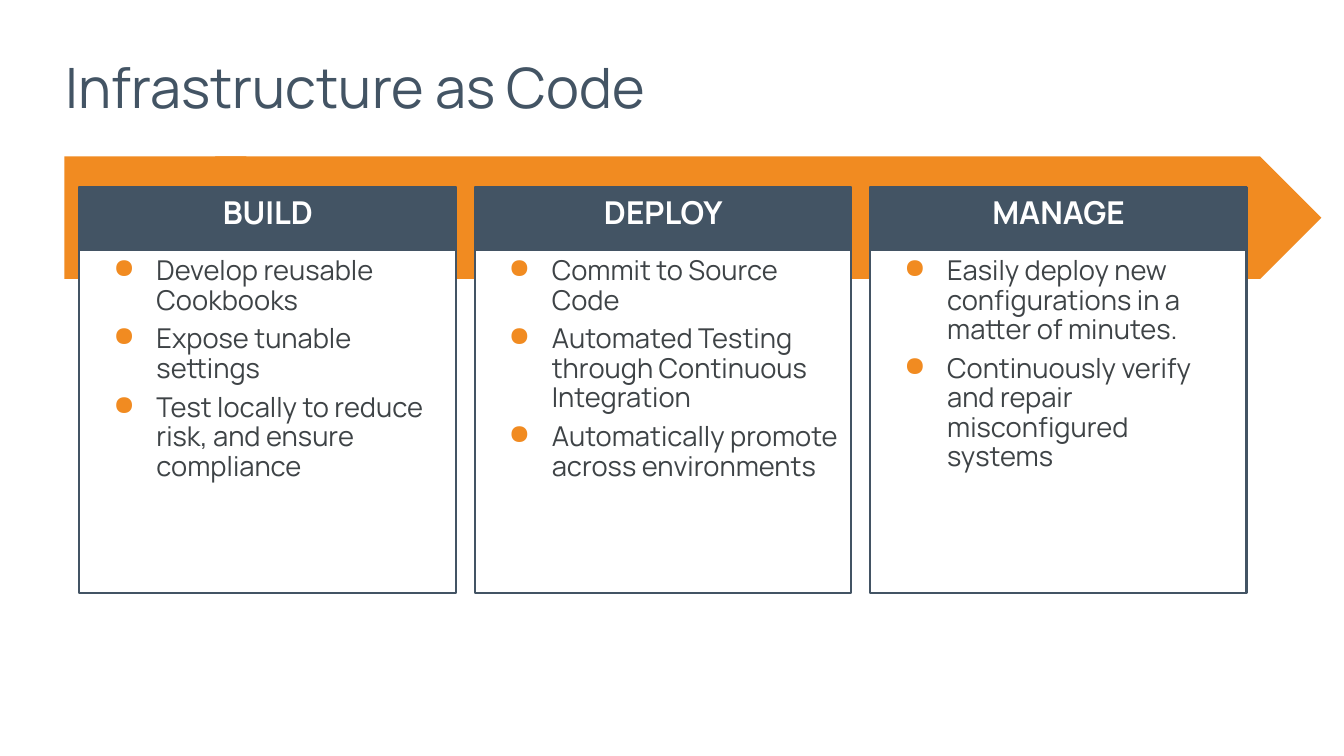
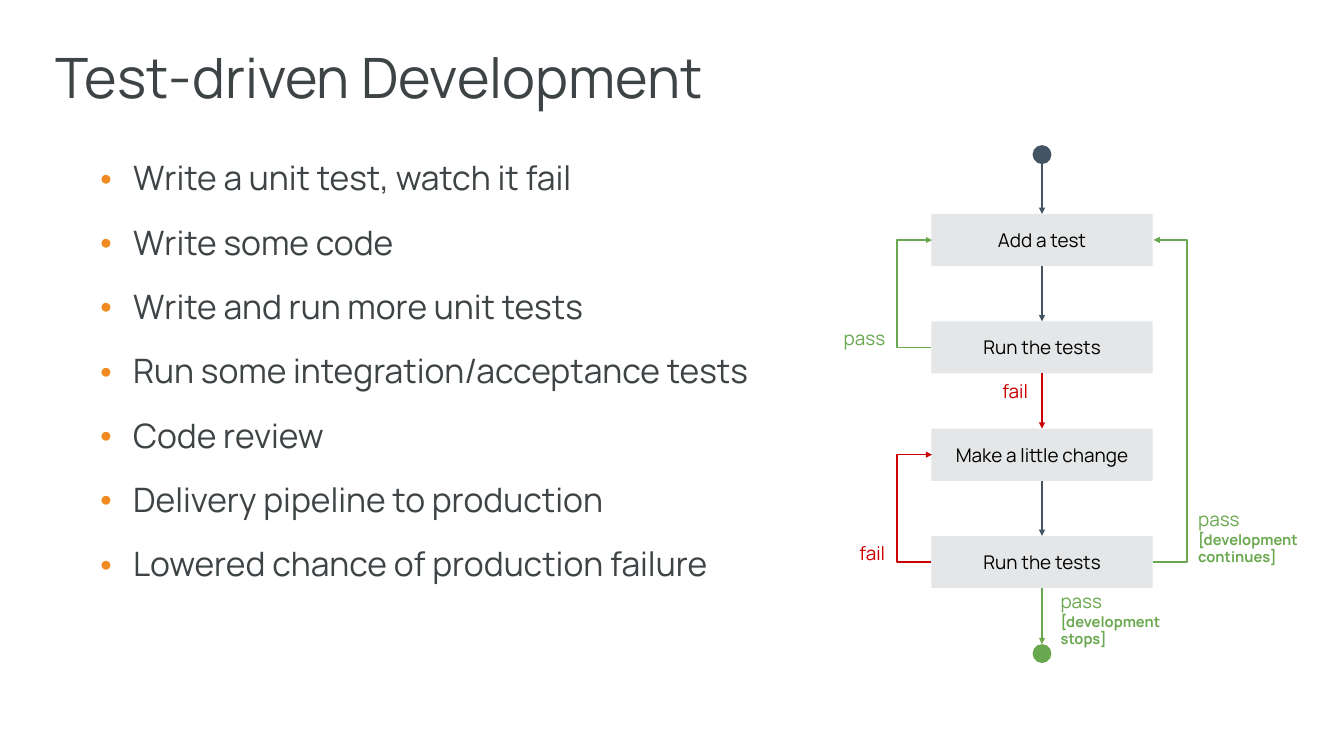
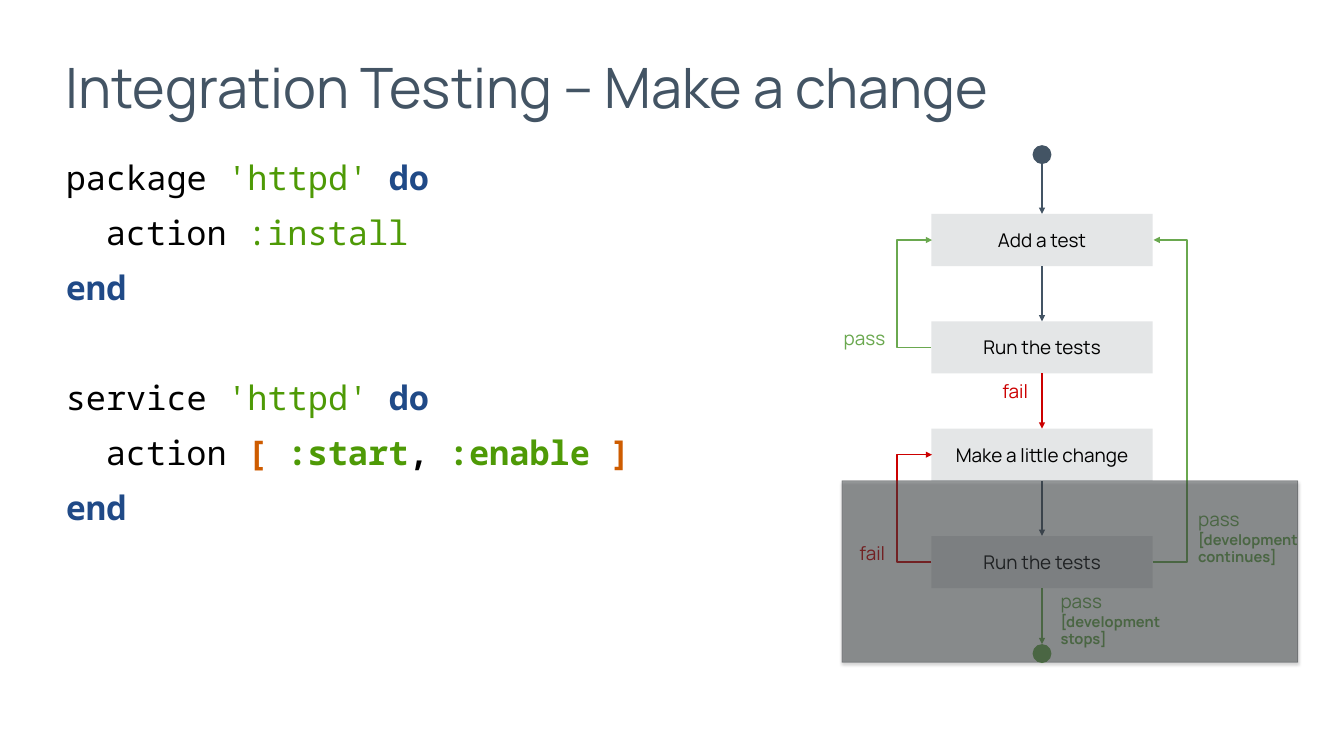
from lxml.etree import SubElement
from pptx import Presentation
from pptx.dml.color import RGBColor
from pptx.enum.shapes import MSO_CONNECTOR as Link, MSO_SHAPE as Shape
from pptx.enum.text import MSO_ANCHOR as Anchor, MSO_AUTO_SIZE as AutoSize, PP_ALIGN as Align
from pptx.oxml.ns import qn
from pptx.util import Inches, Pt

WIDTH, HEIGHT = 17.78, 10
SANS, MONO = "Manrope", "Noto Sans Mono"
SLATE, INK, ORANGE, WHITE, BLACK = "435464", "3E4346", "F18B21", "FFFFFF", "000000"
PALE, GREEN, RED = "E4E6E7", "6AA84F", "CC0000"
STRING, KEYWORD, BRACKET = "4E9A06", "204A87", "CE5C00"
LEFT, CENTER, RIGHT = Align.LEFT, Align.CENTER, Align.RIGHT

TITLE_BOX = (0.74, 0.67, 16.3, 0.81)
BODY_BOX = (0.74, 2.01, 16.3, 6.31)
CARD_LEFT, CARD_TOP, CARD_STEP, CARD_WIDTH, CARD_HEIGHT = 1.05, 2.48, 5.23, 4.98, 5.36
HEADER_HEIGHT = 0.82
STEP_LEFT, STEP_TOP, STEP_PITCH, STEP_WIDTH, STEP_HEIGHT = 12.32, 2.83, 1.42, 2.93, 0.69
AXIS = STEP_LEFT + STEP_WIDTH / 2
DOT, LOOP_REACH, LOOP_SPAN = 0.25, 0.46, 0.01
START_TOP, END_TOP = 1.92, 8.52

CARDS = [
    ("BUILD", 4.98, ["Develop reusable Cookbooks", "Expose tunable settings",
                     "Test locally to reduce risk, and ensure compliance"]),
    ("DEPLOY", 4.98, ["Commit to Source Code",
                      "Automated Testing through Continuous Integration",
                      "Automatically promote across environments"]),
    ("MANAGE", 4.84, ["Easily deploy new configurations in a matter of minutes.",
                      "Continuously verify and repair misconfigured systems"]),
]
PRACTICES = ["Write a unit test, watch it fail", "Write some code",
             "Write and run more unit tests", "Run some integration/acceptance tests",
             "Code review", "Delivery pipeline to production",
             "Lowered chance of production failure"]
STEPS = ["Add a test", "Run the tests", "Make a little change", "Run the tests"]

# Each code line: indent in inches, space before in points, (text, colour, bold) runs
CODE_INDENT, CODE_GAP, BLOCK_GAP = 0.53, 8.9, 61.3
END_LINE = (0, CODE_GAP, [("end", KEYWORD, True)])
CODE = [
    (0, CODE_GAP, [("package ", BLACK, False), ("'httpd' ", STRING, False), ("do", KEYWORD, True)]),
    (CODE_INDENT, CODE_GAP, [("action ", BLACK, False), (":install", STRING, False)]),
    END_LINE,
    (0, BLOCK_GAP, [("service ", BLACK, False), ("'httpd' ", STRING, False), ("do", KEYWORD, True)]),
    (CODE_INDENT, CODE_GAP, [("action ", BLACK, False), ("[ ", BRACKET, True),
                             (":start", STRING, True), (", ", BLACK, True),
                             (":enable ", STRING, True), ("]", BRACKET, True)]),
    END_LINE,
]


def rgb(color):
    return RGBColor.from_string(color)


def box_inches(box):
    return [Inches(length) for length in box]


def xml_child(parent, tag, **attributes):
    return SubElement(parent, qn(tag), **attributes)


def prepare_frame(frame, across, down, anchor=Anchor.TOP):
    frame.word_wrap, frame.auto_size = True, AutoSize.NONE
    frame.margin_left = frame.margin_right = Inches(across)
    frame.margin_top = frame.margin_bottom = Inches(down)
    frame.vertical_anchor = anchor


def add_paragraph(frame, first, align=LEFT, spacing=1.0, before=0, after=0):
    paragraph = frame.paragraphs[0] if first else frame.add_paragraph()
    paragraph.alignment, paragraph.line_spacing = align, spacing
    paragraph.space_before, paragraph.space_after = Pt(before), Pt(after)
    return paragraph


def add_run(paragraph, text, size, color, bold=False, font=SANS):
    run = paragraph.add_run()
    run.text = text
    run.font.name, run.font.size, run.font.bold = font, Pt(size), bold
    run.font.color.rgb = rgb(color)


def indent(paragraph, left, first_line=0):
    properties = paragraph._p.get_or_add_pPr()
    properties.set("marL", str(Inches(left)))
    properties.set("indent", str(Inches(first_line)))
    return properties


def fill_bullets(frame, items, size, hang, after=0, bullet_percent=100):
    for number, item in enumerate(items):
        paragraph = add_paragraph(frame, number == 0, LEFT, 0.9, 8.9, after)
        properties = indent(paragraph, 0.89, -hang)
        xml_child(xml_child(properties, "a:buClr"), "a:srgbClr", val=ORANGE)
        xml_child(properties, "a:buSzPct", val=str(bullet_percent * 1000))
        xml_child(properties, "a:buChar", char="●")
        add_run(paragraph, item, size, INK)


def add_block(shapes, kind, box, fill, line=None, line_width=2):
    block = shapes.add_shape(kind, *box_inches(box))
    block.shadow.inherit = False
    block.fill.solid()
    block.fill.fore_color.rgb = rgb(fill)
    if line:
        block.line.color.rgb = rgb(line)
        block.line.width = Pt(line_width)
    else:
        block.line.fill.background()
    return block


def add_text_box(slide, box, across, down, anchor=Anchor.TOP):
    frame = slide.shapes.add_textbox(*box_inches(box)).text_frame
    prepare_frame(frame, across, down, anchor)
    return frame


def place_placeholder(placeholder, box, inset):
    placeholder.left, placeholder.top, placeholder.width, placeholder.height = box_inches(box)
    prepare_frame(placeholder.text_frame, inset, inset)
    return placeholder.text_frame


def add_titled_slide(deck, layout, title, color=SLATE, inset=0.13):
    slide = deck.slides.add_slide(deck.slide_layouts[layout])
    frame = place_placeholder(slide.shapes.title, TITLE_BOX, inset)
    add_run(add_paragraph(frame, True, spacing=0.9), title, 53, color)
    return slide


def add_arrow(slide, start, end, color, kind=Link.STRAIGHT):
    arrow = slide.shapes.add_connector(kind, *box_inches(start + end))
    arrow.line.color.rgb, arrow.line.width = rgb(color), Pt(1.5)
    xml_child(arrow.line._get_or_add_ln(), "a:tailEnd", type="triangle")
    xml_child(arrow._element.spPr, "a:effectLst")
    return arrow


def step_top(row):
    return STEP_TOP + row * STEP_PITCH


def add_loop(slide, side, from_row, to_row, color):
    """Arrow back up to an earlier step; side is -1 for left, 1 for right."""
    edge = AXIS + side * STEP_WIDTH / 2
    start_y, end_y = (step_top(row) + STEP_HEIGHT / 2 for row in (from_row, to_row))
    loop = add_arrow(slide, (edge, start_y), (edge + LOOP_SPAN, end_y), color, Link.ELBOW)
    geometry = loop._element.spPr.find(qn("a:prstGeom"))
    bends = geometry.find(qn("a:avLst"))
    if bends is None:
        bends = xml_child(geometry, "a:avLst")
    reach = round(side * LOOP_REACH / LOOP_SPAN * 100000)
    xml_child(bends, "a:gd", name="adj1", fmla=f"val {reach}")


def add_outcome(slide, box, word, color, align=RIGHT, detail=None):
    frame = add_text_box(slide, box, 0.18, 0.18, Anchor.MIDDLE)
    add_run(add_paragraph(frame, True, align), word, 18, color)
    if detail:
        add_run(add_paragraph(frame, False, align), detail, 14, color, True)


def add_test_cycle(slide):
    for row, label in enumerate(STEPS):
        box = (STEP_LEFT, step_top(row), STEP_WIDTH, STEP_HEIGHT)
        frame = add_block(slide.shapes, Shape.RECTANGLE, box, PALE).text_frame
        prepare_frame(frame, 0.18, 0.18, Anchor.MIDDLE)
        add_run(add_paragraph(frame, True, CENTER), label, 18, BLACK)

    for top, color in ((START_TOP, SLATE), (END_TOP, GREEN)):
        add_block(slide.shapes, Shape.OVAL, (AXIS - DOT / 2, top, DOT, DOT), color)

    departures = [START_TOP + DOT] + [step_top(row) + STEP_HEIGHT for row in range(len(STEPS))]
    arrivals = [step_top(row) for row in range(len(STEPS))] + [END_TOP]
    for start, end, color in zip(departures, arrivals, (SLATE, SLATE, RED, SLATE, GREEN)):
        add_arrow(slide, (AXIS, start), (AXIS, end), color)

    add_loop(slide, -1, 1, 0, GREEN)
    add_loop(slide, -1, 3, 2, RED)
    add_loop(slide, 1, 3, 0, GREEN)

    add_outcome(slide, (15.67, 6.76, 1.99, 0.68), "pass", GREEN, LEFT, "[development continues]")
    add_outcome(slide, (10.97, 7.19, 0.92, 0.25), "fail", RED)
    add_outcome(slide, (12.86, 5.04, 0.92, 0.25), "fail", RED)
    add_outcome(slide, (10.97, 4.35, 0.92, 0.25), "pass", GREEN)
    add_outcome(slide, (13.85, 8.06, 2.25, 0.25), "pass", GREEN, LEFT, "[development stops]")


def add_shade(slide):
    """Half-transparent cover over the later steps."""
    shade = add_block(slide.shapes, Shape.RECTANGLE, (11.14, 6.36, 6.03, 2.4), INK, INK, 0.75)
    properties = shade._element.spPr
    for color in properties.findall(".//" + qn("a:srgbClr")):
        xml_child(color, "a:alpha", val="50000")
    shadow = xml_child(properties.find(qn("a:effectLst")), "a:outerShdw", blurRad=str(Pt(3.1)),
                       dist=str(Pt(1.8)), dir="5400000", rotWithShape="0")
    xml_child(xml_child(shadow, "a:srgbClr", val=BLACK), "a:alpha", val="35000")


def add_card(slide, column, heading, text_width, items):
    left = CARD_LEFT + column * CARD_STEP
    for height, fill in ((CARD_HEIGHT, WHITE), (HEADER_HEIGHT, SLATE)):
        add_block(slide.shapes, Shape.RECTANGLE, (left, CARD_TOP, CARD_WIDTH, height), fill, SLATE)
    frame = add_text_box(slide, (left + 0.22, CARD_TOP + 0.06, 4.55, 0.69), 0.13, 0.07)
    add_run(add_paragraph(frame, True, CENTER, 0.9), heading, 30, WHITE, True)
    frame = add_text_box(slide, (left, CARD_TOP + 0.85, text_width, 2.68), 0.13, 0.07)
    fill_bullets(frame, items, 26, 0.57)


def build_infrastructure(deck):
    slide = add_titled_slide(deck, 5, "Infrastructure as Code")
    band = slide.shapes.add_group_shape().shapes
    add_block(band, Shape.RECTANGLE, (0.85, 2.07, 2.41, 1.62), ORANGE)
    arrow = add_block(band, Shape.LEFT_RIGHT_ARROW, (2.04, 2.07, 15.44, 1.62), ORANGE)
    arrow.adjustments[0], arrow.adjustments[1] = 1, 0.5
    for column, card in enumerate(CARDS):
        add_card(slide, column, *card)


def build_test_driven(deck):
    slide = add_titled_slide(deck, 1, "Test-driven Development", INK, 0)
    frame = place_placeholder(slide.placeholders[1], BODY_BOX, 0.13)
    fill_bullets(frame, PRACTICES, 32, 0.44, 17.8, 61)
    add_test_cycle(slide)


def build_integration(deck):
    slide = add_titled_slide(deck, 1, "Integration Testing – Make a change")
    frame = place_placeholder(slide.placeholders[1], BODY_BOX, 0.13)
    for number, (left, before, parts) in enumerate(CODE):
        paragraph = add_paragraph(frame, number == 0, LEFT, 0.9, before, CODE_GAP)
        xml_child(indent(paragraph, left), "a:buNone")
        for text, color, bold in parts:
            add_run(paragraph, text, 32, color, bold, MONO)
    add_test_cycle(slide)
    add_shade(slide)


def main():
    deck = Presentation()
    deck.slide_width, deck.slide_height = Inches(WIDTH), Inches(HEIGHT)
    build_infrastructure(deck)
    build_test_driven(deck)
    build_integration(deck)
    deck.save("out.pptx")


if __name__ == "__main__":
    main()
